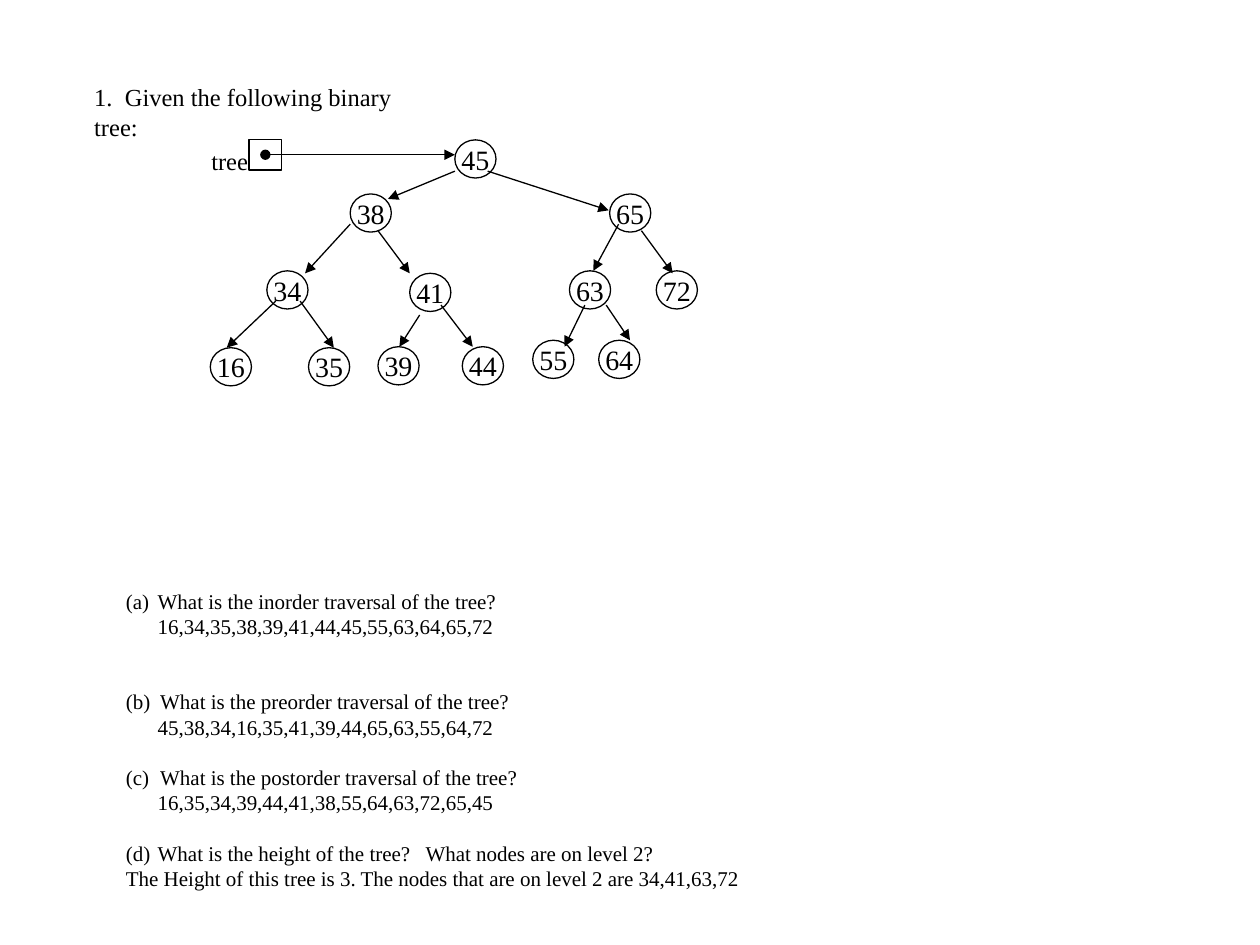
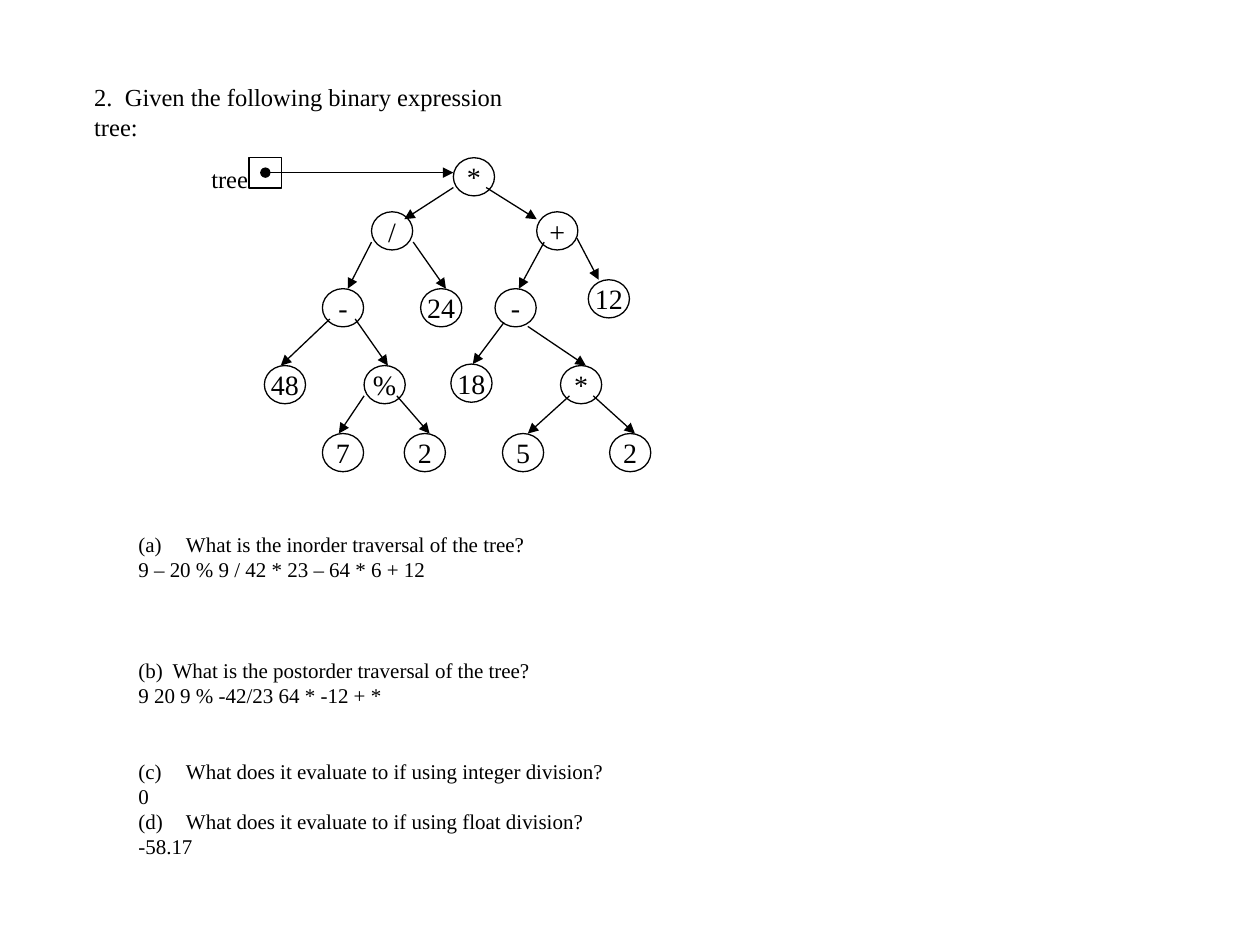
from lxml.etree import SubElement
from pptx import Presentation
from pptx.dml.color import RGBColor
from pptx.enum.shapes import MSO_CONNECTOR, MSO_SHAPE
from pptx.enum.text import MSO_ANCHOR, PP_ALIGN
from pptx.oxml.ns import qn
from pptx.util import Cm, Pt

# Shared look
INK = "000000"
OUTLINE = Pt(0.75)
NODE_W, NODE_H = 0.83, 0.77
QUESTION_LINE = 14.4
NODE_FRAME = {"word_wrap": False, "vertical_anchor": MSO_ANCHOR.MIDDLE}
HEADING_FORMAT = {"line_spacing": Pt(17)}
LABEL_FORMAT = {"alignment": PP_ALIGN.LEFT}
NODE_FORMAT = {"alignment": PP_ALIGN.CENTER}


def color(value):
    return RGBColor.from_string(value)


def write(paragraph, text, size, paragraph_format):
    run = paragraph.add_run()
    run.text = text
    for name, value in {"name": "Times New Roman", "size": Pt(size)}.items():
        setattr(run.font, name, value)
    run.font.color.rgb = color(INK)
    for name, value in paragraph_format.items():
        setattr(paragraph, name, value)


# Content, lengths in cm: nodes are (text, left, top), arrows (x1, y1, x2, y2),
# questions (text, hanging indent, blank lines above, answer, answer indent)
exercises = [
    {
        "heading": "1.  Given the following binary tree:",
        "heading_width": 7.25,
        "root": (9.17, 2.82),
        "nodes": [
            ("45", 9.17, 2.82),
            ("38", 7.06, 3.91), ("65", 12.29, 3.91),
            ("34", 5.38, 5.46), ("41", 8.26, 5.51),
            ("63", 11.48, 5.46), ("72", 13.23, 5.46),
            ("16", 4.24, 7.01), ("35", 6.22, 7.01),
            ("39", 7.62, 6.99), ("44", 9.32, 6.99),
            ("55", 10.74, 6.86), ("64", 12.07, 6.86),
        ],
        "arrows": [
            (9.17, 3.45, 7.82, 4.01), (9.83, 3.45, 12.27, 4.24),
            (7.06, 4.52, 6.15, 5.51), (7.62, 4.65, 8.26, 5.51),
            (12.47, 4.52, 11.96, 5.46), (12.93, 4.65, 13.56, 5.51),
            (5.56, 6.07, 4.57, 7.01), (6.05, 6.07, 6.73, 7.01),
            (8.46, 6.35, 8.05, 6.99), (8.89, 6.15, 9.53, 6.99),
            (11.79, 6.15, 11.38, 6.99), (12.22, 6.15, 12.7, 6.86),
        ],
        "questions_at": (2.29, 11.73, 16, 6.4),
        "questions": [
            ("What is the inorder traversal of the tree?", 0.64, 0,
             "16,34,35,38,39,41,44,45,55,63,64,65,72", 0.64),
            ("What is the preorder traversal of the tree?", 0.69, 2,
             "45,38,34,16,35,41,39,44,65,63,55,64,72", 0.64),
            ("What is the postorder traversal of the tree?", 0.69, 1,
             "16,35,34,39,44,41,38,55,64,63,72,65,45", 0.64),
            ("What is the height of the tree?   What nodes are on level 2?", 0.64, 1,
             "The Height of this tree is 3. The nodes that are on level 2 are 34,41,63,72", 0),
        ],
    },
    {
        "heading": "2.  Given the following binary expression tree:",
        "heading_width": 9.5,
        "root": (9.14, 3.18),
        "nodes": [
            ("*", 9.14, 3.18),
            ("/", 7.49, 4.27), ("+", 10.82, 4.27),
            ("-", 6.5, 5.82), ("24", 8.48, 5.82),
            ("-", 9.98, 5.82), ("12", 11.86, 5.64),
            ("48", 5.33, 7.37), ("%", 7.34, 7.37),
            ("18", 9.09, 7.34), ("*", 11.3, 7.37),
            ("7", 6.5, 8.74), ("2", 8.15, 8.74),
            ("5", 10.13, 8.74), ("2", 12.29, 8.74),
        ],
        "arrows": [
            (9.14, 3.78, 8.15, 4.42), (9.8, 3.78, 10.82, 4.42),
            (7.49, 4.88, 7.01, 5.82), (8.33, 4.88, 8.99, 5.82),
            (10.97, 4.88, 10.46, 5.82), (11.63, 4.8, 12.07, 5.64),
            (6.65, 6.43, 5.66, 7.37), (7.16, 6.43, 7.82, 7.37),
            (10.16, 6.5, 9.53, 7.34), (10.64, 6.58, 11.81, 7.37),
            (7.34, 7.98, 6.83, 8.74), (8, 7.98, 8.66, 8.74),
            (11.48, 7.98, 10.64, 8.74), (11.96, 7.98, 12.8, 8.74),
        ],
        "questions_at": (2.54, 10.59, 10.4, 7.95),
        "questions": [
            ("What is the inorder traversal of the tree?", 0.96, 0,
             "9 – 20 % 9 / 42 * 23 – 64 * 6 + 12", 0),
            ("What is the postorder traversal of the tree?", 0.69, 3,
             "9 20 9 % -42/23 64 * -12 + *", 0),
            ("What does it evaluate to if using integer division?", 0.96, 2, "0", 0),
            ("What does it evaluate to if using float division?", 0.96, 0, "-58.17", 0),
        ],
    },
]

presentation = Presentation()
presentation.slide_width, presentation.slide_height = Cm(25.4), Cm(19.05)

for exercise in exercises:
    slide = presentation.slides.add_slide(presentation.slide_layouts[6])
    shapes = slide.shapes
    root_left, root_top = exercise["root"]

    # Heading and the label of the root pointer
    for text, left, top, width, paragraph_format in [
        (exercise["heading"], 1.65, 1.52, exercise["heading_width"], HEADING_FORMAT),
        ("tree", 4.01, root_top, 1.5, LABEL_FORMAT),
    ]:
        caption = shapes.add_textbox(Cm(left), Cm(top), Cm(width), Cm(0.84)).text_frame
        caption.word_wrap = True
        write(caption.paragraphs[0], text, 14, paragraph_format)

    # Pointer box and tree nodes
    outlines = [(MSO_SHAPE.RECTANGLE, "", 5.02, root_top, 0.66, 0.61)]
    outlines += [(MSO_SHAPE.OVAL, *node, NODE_W, NODE_H) for node in exercise["nodes"]]
    for kind, text, left, top, width, height in outlines:
        node = shapes.add_shape(kind, Cm(left), Cm(top), Cm(width), Cm(height))
        node.shadow.inherit = False
        node.fill.background()
        node.line.color.rgb = color(INK)
        node.line.width = OUTLINE
        if text:
            for name, value in NODE_FRAME.items():
                setattr(node.text_frame, name, value)
            write(node.text_frame.paragraphs[0], text, 16, NODE_FORMAT)

    # Root pointer starts with a dot, the branches do not
    pointer = (5.35, root_top + 0.3, root_left, root_top + 0.3)
    for ends in [pointer, *exercise["arrows"]]:
        branch = shapes.add_connector(MSO_CONNECTOR.STRAIGHT, *[Cm(end) for end in ends])
        branch.line.color.rgb = color(INK)
        branch.line.width = OUTLINE
        properties = branch.element.spPr
        stroke = properties.find(qn("a:ln"))
        if ends is pointer:
            SubElement(stroke, qn("a:headEnd"), type="oval")
        SubElement(stroke, qn("a:tailEnd"), type="triangle")
        SubElement(properties, qn("a:effectLst"))

    # Lettered questions, each followed by its answer
    frame = shapes.add_textbox(*[Cm(side) for side in exercise["questions_at"]]).text_frame
    frame.word_wrap = True
    for number, (question, hang, gap, answer, indent) in enumerate(exercise["questions"], 1):
        asked = frame.paragraphs[0] if number == 1 else frame.add_paragraph()
        write(asked, question, 12, {"line_spacing": Pt(QUESTION_LINE),
                                    "space_before": Pt(gap * QUESTION_LINE)})
        lettering = asked._p.get_or_add_pPr()
        lettering.set("marL", str(Cm(hang)))
        lettering.set("indent", str(-Cm(hang)))
        SubElement(lettering, qn("a:buAutoNum"), type="alphaLcParenBoth", startAt=str(number))
        answered = frame.add_paragraph()
        write(answered, answer, 12, {"line_spacing": Pt(QUESTION_LINE)})
        answered._p.get_or_add_pPr().set("marL", str(Cm(indent)))

presentation.save("out.pptx")
